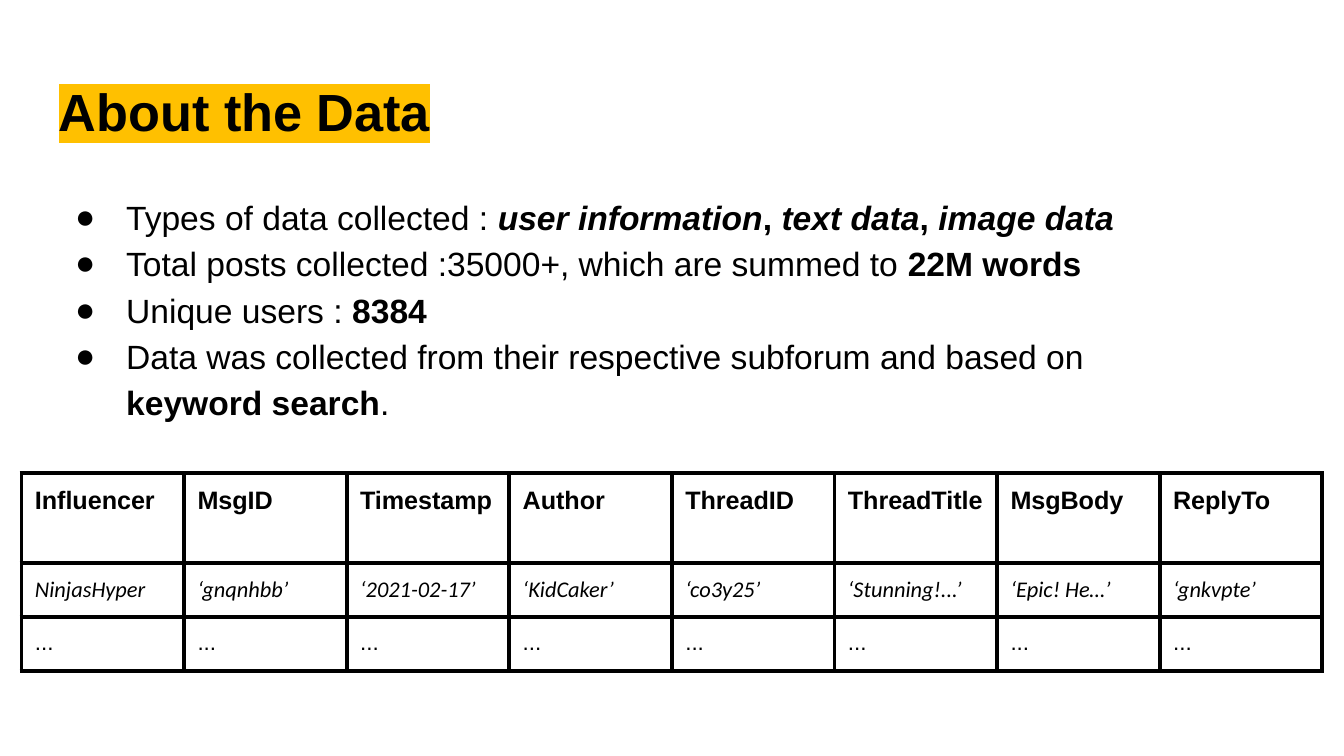
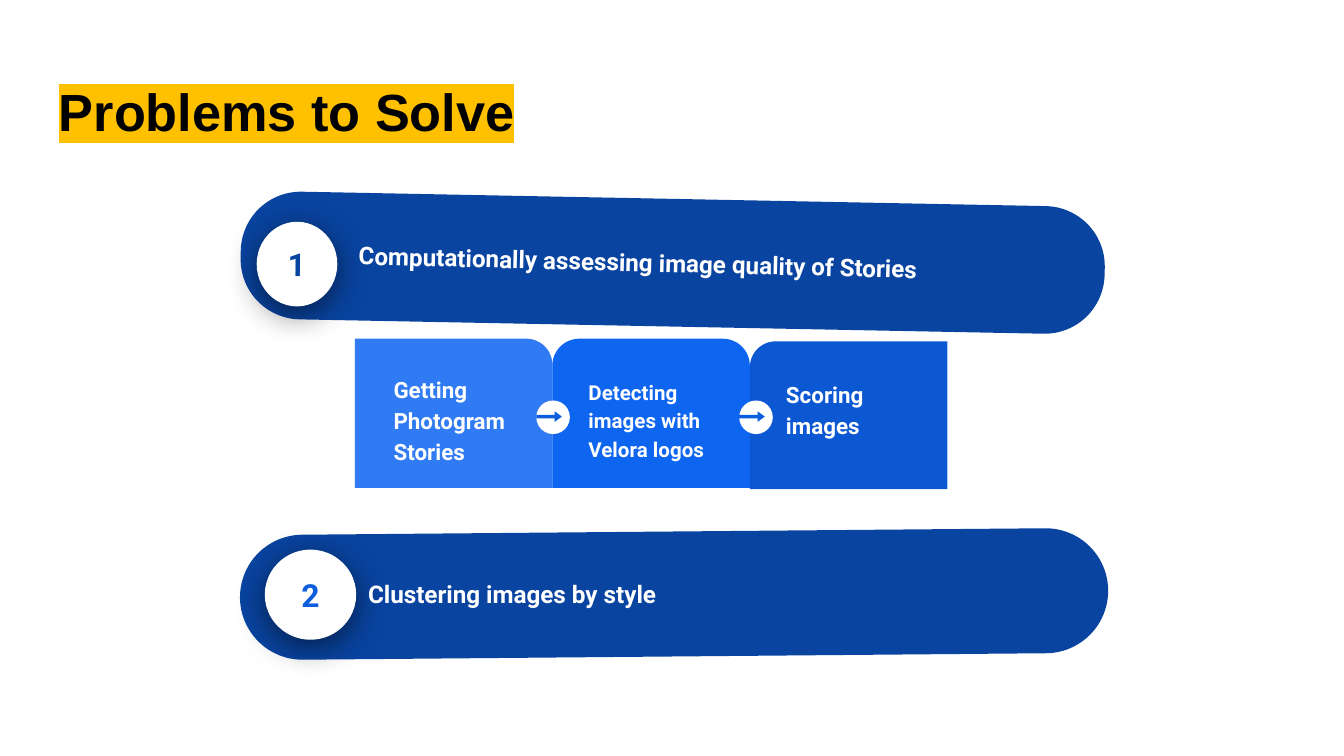
import lxml.etree
import pptx
import pptx.dml.color
import pptx.enum.shapes
import pptx.enum.text
import pptx.oxml
import pptx.oxml.ns
import pptx.util

Inches = pptx.util.Inches
Pt = pptx.util.Pt
RGB = pptx.dml.color.RGBColor.from_string
SHAPE = pptx.enum.shapes.MSO_SHAPE
ANCHOR = pptx.enum.text.MSO_ANCHOR
ALIGN = pptx.enum.text.PP_ALIGN
qn = pptx.oxml.ns.qn
XMLNS = 'xmlns:a="http://schemas.openxmlformats.org/drawingml/2006/main"'

COLORS = {
    "black": "000000", "white": "FFFFFF", "highlight": "FFC000",
    "band": "0944A1", "accent": "0D5DDF",
    "card 1": "307BF3", "card 2": "0E65F0", "card 3": "0C58D3",
}


def write(holder, spans, size, font, color, first=True, spacing=None):
    """Add one paragraph of (text, style) spans; style may hold b and i."""
    frame = holder.text_frame
    frame.word_wrap = True
    frame.margin_left = frame.margin_right = Inches(0.1)
    frame.margin_top = frame.margin_bottom = Inches(0.1)
    para = frame.paragraphs[0] if first else frame.add_paragraph()
    para.line_spacing = spacing
    for text, style in spans:
        span = para.add_run()
        span.text = text
        span.font.size = Pt(size)
        span.font.name = font
        span.font.color.rgb = RGB(COLORS[color])
        span.font.bold = "b" in style
        span.font.italic = "i" in style
    return para


def draw(page, kind, at, fill, adjustments=(), rotation=0):
    """Add a borderless, shadowless filled shape."""
    shape = page.shapes.add_shape(kind, *map(Inches, at))
    shape.shadow.inherit = False
    shape.fill.solid()
    shape.fill.fore_color.rgb = RGB(COLORS[fill])
    shape.line.fill.background()
    shape.rotation = rotation
    for index, value in enumerate(adjustments):
        shape.adjustments[index] = value
    return shape


deck = pptx.Presentation()
deck.slide_width, deck.slide_height = Inches(10), Inches(10 * 9 / 16)

# Pages with highlighted titles
pages = []
for title in ("About the Data", "Problems to Solve"):
    page = deck.slides.add_slide(deck.slide_layouts[6])
    box = page.shapes.add_textbox(Inches(0.34), Inches(0.49), Inches(9.32), Inches(0.63))
    para = write(box, [(title, "b")], 28, "Arial", "black")
    ink = para.runs[0].font._element.find(qn("a:solidFill"))
    ink.addnext(pptx.oxml.parse_xml(
        f'<a:highlight {XMLNS}><a:srgbClr val="{COLORS["highlight"]}"/></a:highlight>'))
    pages.append(page)
data_page, problems_page = pages

# About the Data: bullets
facts = [
    [("Types of data collected : ", ""), ("user information", "bi"), (", ", "b"),
     ("text data", "bi"), (", ", "b"), ("image data", "bi")],
    [("Total posts collected :35000+, which are summed to ", ""), ("22M words", "b")],
    [("Unique users : ", ""), ("8384", "b")],
    [("Data was collected from their respective subforum and based on ", ""),
     ("keyword search", "b"), (".", "")],
]
box = data_page.shapes.add_textbox(Inches(0.34), Inches(1.32), Inches(8.55), Inches(3.5))
for index, spans in enumerate(facts):
    para = write(box, spans, 18, "Arial", "black", index == 0, 1.15)
    props = para._p.get_or_add_pPr()
    props.set("marL", str(Inches(0.5)))
    props.set("indent", str(Inches(-0.38)))
    bullet_color = lxml.etree.SubElement(props, qn("a:buClr"))
    lxml.etree.SubElement(bullet_color, qn("a:srgbClr"), val=COLORS["black"])
    lxml.etree.SubElement(props, qn("a:buSzPts"), val="1800")
    lxml.etree.SubElement(props, qn("a:buFont"), typeface="Arial")
    lxml.etree.SubElement(props, qn("a:buChar"), char="●")

# About the Data: sample records
records = [
    ["Influencer", "MsgID", "Timestamp", "Author",
     "ThreadID", "ThreadTitle", "MsgBody", "ReplyTo"],
    ["NinjasHyper", "‘gnqnhbb’", "‘2021-02-17’", "‘KidCaker’",
     "‘co3y25’", "‘Stunning!...’", "‘Epic! He…’", "‘gnkvpte’"],
    ["..."] * 8,
]
row_styles = [(0.67, 13.5, "Arial", "b"), (0.4, 12, "Calibri", "i"), (0.4, 12, "Arial", "")]
table = data_page.shapes.add_table(
    3, 8, Inches(0.16), Inches(3.52), Inches(9.68), Inches(1.47)).table
table.first_row = table.horz_banding = False
for column in table.columns:
    column.width = Inches(1.21)
for row, values, (height, size, font, style) in zip(table.rows, records, row_styles):
    row.height = Inches(height)
    for cell, value in zip(row.cells, values):
        write(cell, [(value, style)], size, font, "black")
        cell.margin_left = cell.margin_right = Inches(0.1)
        cell.margin_top = cell.margin_bottom = Inches(0.1)
        cell.fill.background()
        for position, side in enumerate(("lnL", "lnR", "lnT", "lnB")):
            cell._tc.get_or_add_tcPr().insert(position, pptx.oxml.parse_xml(
                f'<a:{side} {XMLNS} w="{Pt(2.25)}"><a:solidFill>'
                f'<a:srgbClr val="{COLORS["black"]}"/></a:solidFill></a:{side}>'))

# Problems to Solve: step cards
cards = [
    (SHAPE.ROUND_1_RECTANGLE, (2.64, 2.52, 1.47, 1.11), [0.174], "card 1",
     "Getting Photogram Stories", (2.83, 2.67, 1.1, 0.73), 12),
    (SHAPE.ROUND_2_SAME_RECTANGLE, (4.11, 2.52, 1.47, 1.11), [0.181, 0], "card 2",
     "Detecting images with Velora logos", (4.28, 2.7, 1.1, 0.77), 11),
    (SHAPE.ROUND_1_RECTANGLE, (5.58, 2.54, 1.47, 1.1), [0.174], "card 3",
     "Scoring images", (5.75, 2.71, 1.1, 0.73), 12),
]
for kind, at, adjustments, fill, label, label_at, size in cards:
    card = draw(problems_page, kind, at, fill, adjustments)
    box = problems_page.shapes.add_textbox(*map(Inches, label_at))
    write(box, [(label, "b")], size, "Roboto", "white", spacing=1.15)
    if fill == "card 3":
        card._element.spPr.find(qn("a:xfrm")).set("flipH", "1")

for left in (3.99, 5.5):
    draw(problems_page, SHAPE.OVAL, (left, 2.98, 0.25, 0.25), "white")
    draw(problems_page, SHAPE.RIGHT_ARROW, (left, 3.06, 0.19, 0.08), "accent", [0.32, 0.67])

# Problems to Solve: numbered bands
bands = [
    ((4.53, -1.26, 0.95, 6.43), 91.1, 0.471,
     "1", (1.91, 1.65, 0.6, 0.63), 0.4, "band",
     "Computationally assessing image quality of Stories", (2.57, 1.62, 4.39, 0.66), 1.4),
    ((4.55, 1.19, 0.93, 6.46), 89.5, 0.5,
     "2", (1.97, 4.09, 0.68, 0.67), 0.2, "accent",
     "Clustering images by style", (2.64, 4.21, 4.08, 0.42), 0),
]
for (at, turn, roundness, number, badge_at, badge_turn, number_color,
     label, label_at, label_turn) in bands:
    draw(problems_page, SHAPE.ROUNDED_RECTANGLE, at, "band", [roundness], turn)

    badge = draw(problems_page, SHAPE.OVAL, badge_at, "white", rotation=badge_turn)
    badge._element.spPr.find(qn("a:effectLst")).append(pptx.oxml.parse_xml(
        f'<a:outerShdw {XMLNS} blurRad="{Pt(18)}" dist="{Pt(4)}" dir="5400000" '
        f'algn="bl" rotWithShape="0"><a:srgbClr val="{COLORS["black"]}">'
        '<a:alpha val="55000"/></a:srgbClr></a:outerShdw>'))
    para = write(badge, [(number, "b")], 17, "Roboto", number_color)
    para.alignment = ALIGN.CENTER
    badge.text_frame.vertical_anchor = ANCHOR.MIDDLE

    box = problems_page.shapes.add_textbox(*map(Inches, label_at))
    box.rotation = label_turn
    write(box, [(label, "b")], 13, "Roboto", "white")
    box.text_frame.vertical_anchor = ANCHOR.MIDDLE

deck.save("out.pptx")
